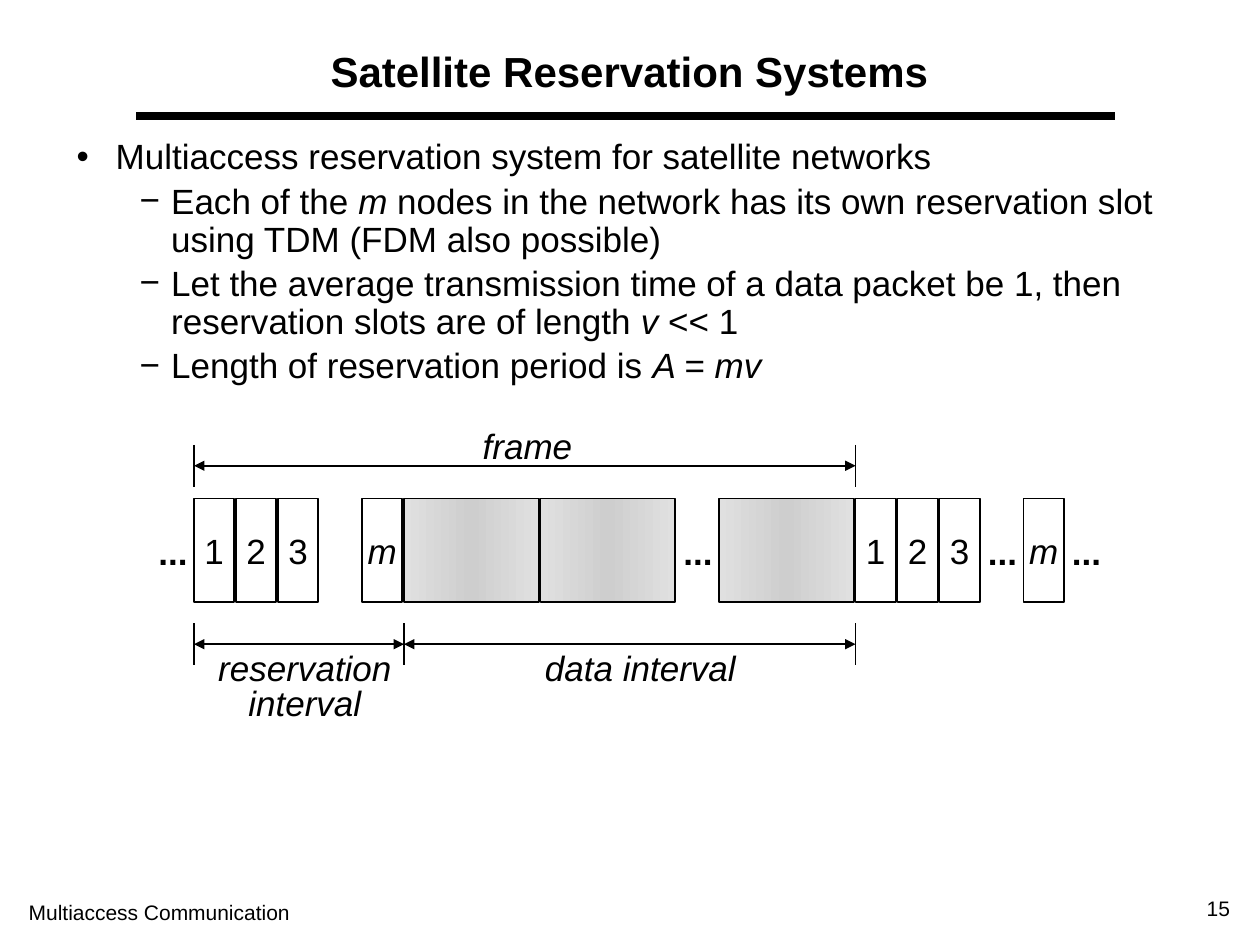
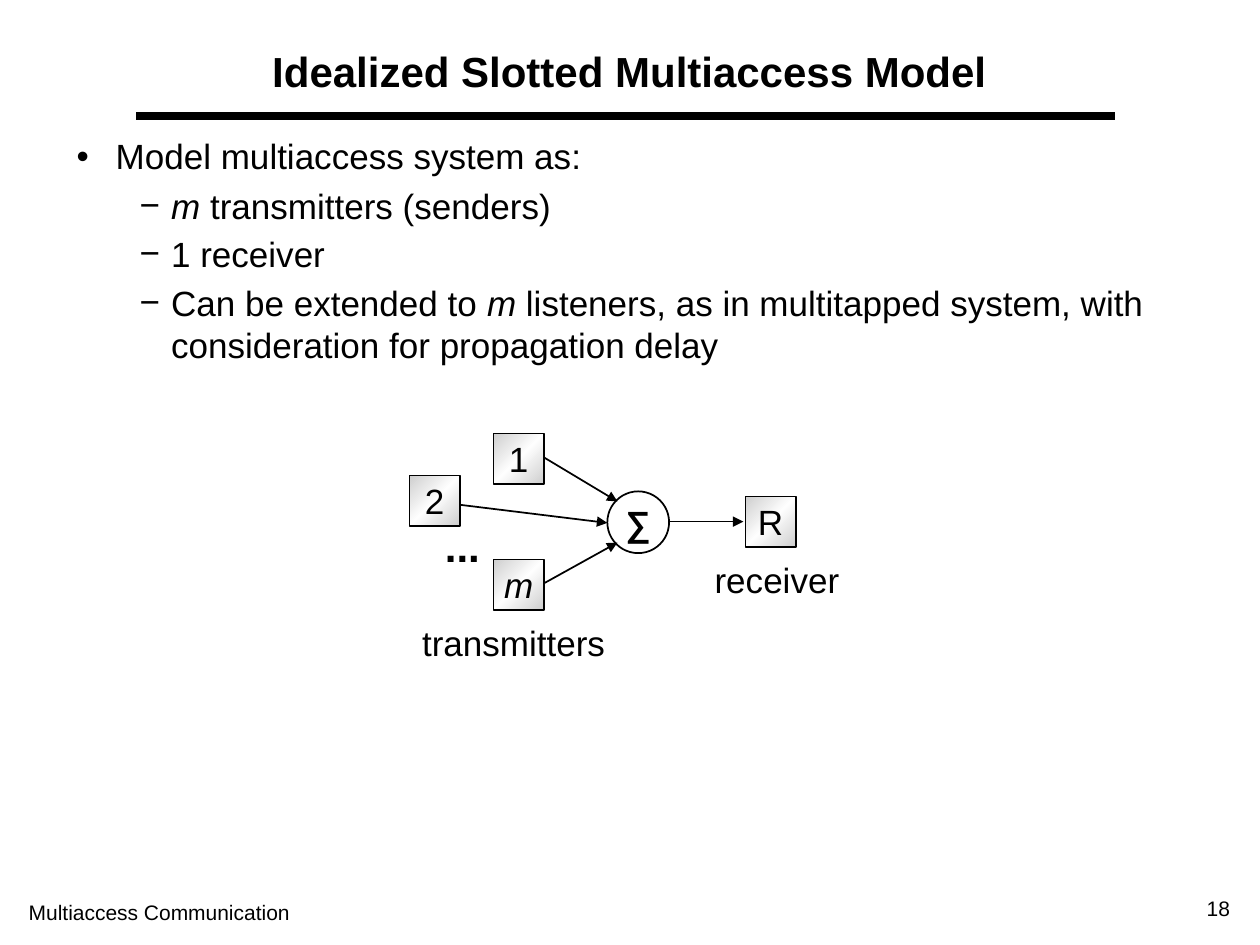
from dataclasses import dataclass

from lxml.etree import SubElement
from pptx import Presentation
from pptx.dml.color import RGBColor
from pptx.enum.shapes import MSO_CONNECTOR, MSO_SHAPE
from pptx.enum.text import MSO_ANCHOR, PP_ALIGN
from pptx.oxml.ns import qn
from pptx.util import Inches, Pt

# Shared look
COLOURS = {"ink": "000000", "edge": "E0E0E0", "grey": "CECECE", "shine": "FEFEFE"}
FONT = "Arial"
BODY_SIZE = 20
FOOTER = "Multiaccess Communication"
CENTRED = {"alignment": PP_ALIGN.CENTER}
TIGHT = {**CENTRED, "line_spacing": 0.85}
PACKET_FILL = (("edge", "grey", "edge"), 0)
NODE_FILL = (("grey", "shine", "grey"), 315)
LABEL_HEIGHT = 0.43
BULLETS = (("•", 0.31, -0.31), ("−", 0.75, -0.25))


@dataclass
class Grid:
    """Diagram grid with square cells; its origin is in inches."""
    left: float
    top: float
    cell: float = 1 / 3

    def x(self, column):
        return self.left + column * self.cell

    def y(self, row):
        return self.top + row * self.cell

    def at(self, column, row):
        return self.x(column), self.y(row)

    def area(self, column, row, columns, rows):
        return (*self.at(column, row), columns * self.cell, rows * self.cell)


def colour(name):
    return RGBColor.from_string(COLOURS[name])


def apply(target, values):
    for name, value in values.items():
        setattr(target, name, value)


# Text
def write(para, text, size=BODY_SIZE, bold=False, **values):
    """Fill a paragraph; words between asterisks are italic."""
    apply(para, values)
    for index, part in enumerate(text.split("*")):
        for number, line in enumerate(part.split("\n")):
            if number:
                para.add_line_break()
            if line:
                span = para.add_run()
                span.text = line
                apply(span.font, {"name": FONT, "size": Pt(size), "bold": bold,
                                  "italic": index % 2 == 1})
                span.font.color.rgb = colour("ink")


def add_text(page, area, text, wrap=True, anchor=MSO_ANCHOR.TOP, **values):
    frame = page.shapes.add_textbox(*map(Inches, area)).text_frame
    apply(frame, {"word_wrap": wrap, "vertical_anchor": anchor})
    write(frame.paragraphs[0], text, **values)
    return frame


def add_label(page, centre, top, text, width=1.9, **values):
    """One text centred on a point, in a box wide enough for its line."""
    area = (centre - width / 2, top, width, LABEL_HEIGHT)
    add_text(page, area, text, wrap=False, **{**CENTRED, **values})


def add_bullet(para, level):
    mark, margin, indent = BULLETS[level]
    para.level = level
    properties = para._p.get_or_add_pPr()
    properties.set("marL", str(Inches(margin)))
    properties.set("indent", str(Inches(indent)))
    tint = SubElement(properties, qn("a:buClr"))
    SubElement(tint, qn("a:srgbClr"), val=COLOURS["ink"])
    SubElement(properties, qn("a:buFont"), typeface=FONT)
    SubElement(properties, qn("a:buChar"), char=mark)


def add_body(page, area, heading, points, point_spacing):
    frame = add_text(page, area, heading, line_spacing=0.9, space_before=Pt(7.5))
    add_bullet(frame.paragraphs[0], 0)
    for point in points:
        para = frame.add_paragraph()
        write(para, point, line_spacing=point_spacing, space_before=Pt(3.7))
        add_bullet(para, 1)


# Lines and boxes
def add_line(page, start, end, width=1, heads=()):
    line = page.shapes.add_connector(
        MSO_CONNECTOR.STRAIGHT, *map(Inches, (*start, *end)))
    line.line.color.rgb = colour("ink")
    line.line.width = Pt(width)
    for head in heads:
        SubElement(line.line._get_or_add_ln(), qn(f"a:{head}"), type="triangle")
    SubElement(line._element.spPr, qn("a:effectLst"))


def add_gradient(shape, names, angle):
    shape.fill.gradient()
    shape.fill.gradient_angle = angle
    stops = shape._element.spPr.find(qn("a:gradFill")).find(qn("a:gsLst"))
    for stop in list(stops):
        stops.remove(stop)
    for index, name in enumerate(names):
        stop = SubElement(stops, qn("a:gs"), pos=str(index * 50000))
        SubElement(stop, qn("a:srgbClr"), val=COLOURS[name])


def add_box(page, area, text="", gradient=None, kind=MSO_SHAPE.RECTANGLE, **values):
    box = page.shapes.add_shape(kind, *map(Inches, area))
    box.shadow.inherit = False
    box.line.color.rgb = colour("ink")
    box.line.width = Pt(1)
    if gradient:
        add_gradient(box, *gradient)
    else:
        box.fill.background()
    if text:
        margins = ("margin_left", "margin_right", "margin_top", "margin_bottom")
        apply(box.text_frame, {**dict.fromkeys(margins, 0), "word_wrap": False,
                               "vertical_anchor": MSO_ANCHOR.MIDDLE})
        write(box.text_frame.paragraphs[0], text, **CENTRED, **values)


def add_page(deck, title, number):
    page = deck.slides.add_slide(deck.slide_layouts[6])
    add_line(page, (1.08, 0.92), (8.85, 0.92), width=4.5)
    add_text(page, (8.95, 7.06, 0.91, 0.3), str(number), size=12,
             alignment=PP_ALIGN.RIGHT, space_before=Pt(7.5))
    add_text(page, (0.13, 7.09, 4, 0.3), FOOTER, size=12, space_before=Pt(7.5))
    add_text(page, (1.08, 0.25, 7.83, 0.67), title, anchor=MSO_ANCHOR.MIDDLE,
             size=24, bold=True, line_spacing=0.9, **CENTRED)
    return page


# Frame diagram: one column per reservation slot
def add_slots(page, grid, first):
    for offset, name in ((0, "1"), (1, "2"), (2, "3"), (4, "*m*")):
        add_box(page, grid.area(first + offset, 1.28, 0.96, 2.46), name)


def add_span(page, grid, row, edges):
    """Ticks at the edges and a two-headed arrow between neighbours."""
    for edge in edges:
        add_line(page, grid.at(edge, row), grid.at(edge, row + 1))
    for start, end in zip(edges, edges[1:]):
        add_line(page, grid.at(start, row + 0.5), grid.at(end, row + 0.5),
                 heads=("headEnd", "tailEnd"))


def draw_frame(page):
    grid = Grid(1.54, 3.53)
    data_start, next_frame, packet = 5, 15.75, 3.25
    add_slots(page, grid, 0)
    add_slots(page, grid, next_frame)
    for column in (data_start, data_start + packet, next_frame - packet):
        add_box(page, grid.area(column, 1.28, packet - 0.04, 2.46),
                gradient=PACKET_FILL)
    for column in (-0.5, 12, next_frame + 3.5, next_frame + 5.5):
        add_label(page, grid.x(column), grid.y(1.89), "...", width=0.5, bold=True)
    add_span(page, grid, 0, (0, next_frame))
    add_span(page, grid, 4.25, (0, data_start, next_frame))
    add_label(page, grid.x(7.94), grid.y(-0.63), "*frame*")
    for column, text in ((10.63, "*data interval*"), (2.64, "*reservation\ninterval*")):
        add_label(page, grid.x(column), grid.y(4.8), text, **TIGHT)


# Transmitters, adder and receiver
def draw_model(page):
    grid = Grid(3.25, 3.44)
    arrows = (((1.2, 1.7), (4.71, 2.13)), ((3.2, 0.57), (4.95, 1.62)),
              ((3.2, 3.57), (4.95, 2.6)), ((6.18, 2.1), (7.95, 2.1)))
    for start, end in arrows:
        add_line(page, grid.at(*start), grid.at(*end), heads=("tailEnd",))
    add_box(page, grid.area(4.71, 1.38, 1.47, 1.47), "∑", kind=MSO_SHAPE.OVAL, bold=True)
    for column, row, name in ((2, 0, "1"), (0, 1, "2"), (2, 3, "*m*"), (8, 1.5, "R")):
        add_box(page, grid.area(column, row, 1.2, 1.2), name, NODE_FILL)
    add_label(page, grid.x(1.26), grid.y(1.92), "...", width=0.6, size=24, bold=True)
    add_label(page, grid.x(8.75), grid.y(2.82), "receiver")
    add_label(page, grid.x(2.48), grid.y(4.32), "transmitters")


def main():
    deck = Presentation()
    apply(deck, {"slide_width": Inches(10), "slide_height": Inches(7.5)})

    page = add_page(deck, "Satellite Reservation Systems", 15)
    add_body(page, (0.51, 1.06, 8.98, 3.24),
             "Multiaccess reservation system for satellite networks",
             ("Each of the *m* nodes in the network has its own reservation slot "
              "using TDM (FDM also possible)",
              "Let the average transmission time of a data packet be 1, then "
              "reservation slots are of length *v* << 1",
              "Length of reservation period is *A *= *mv*"), 0.9)
    draw_frame(page)

    page = add_page(deck, "Idealized Slotted Multiaccess Model", 18)
    add_body(page, (0.51, 1.06, 8.88, 2.67), "Model multiaccess system as:",
             ("*m* transmitters (senders)", "1 receiver",
              "Can be extended to *m* listeners, as in multitapped system, with "
              "consideration for propagation delay"), 1.0)
    draw_model(page)

    deck.save("out.pptx")


if __name__ == "__main__":
    main()
